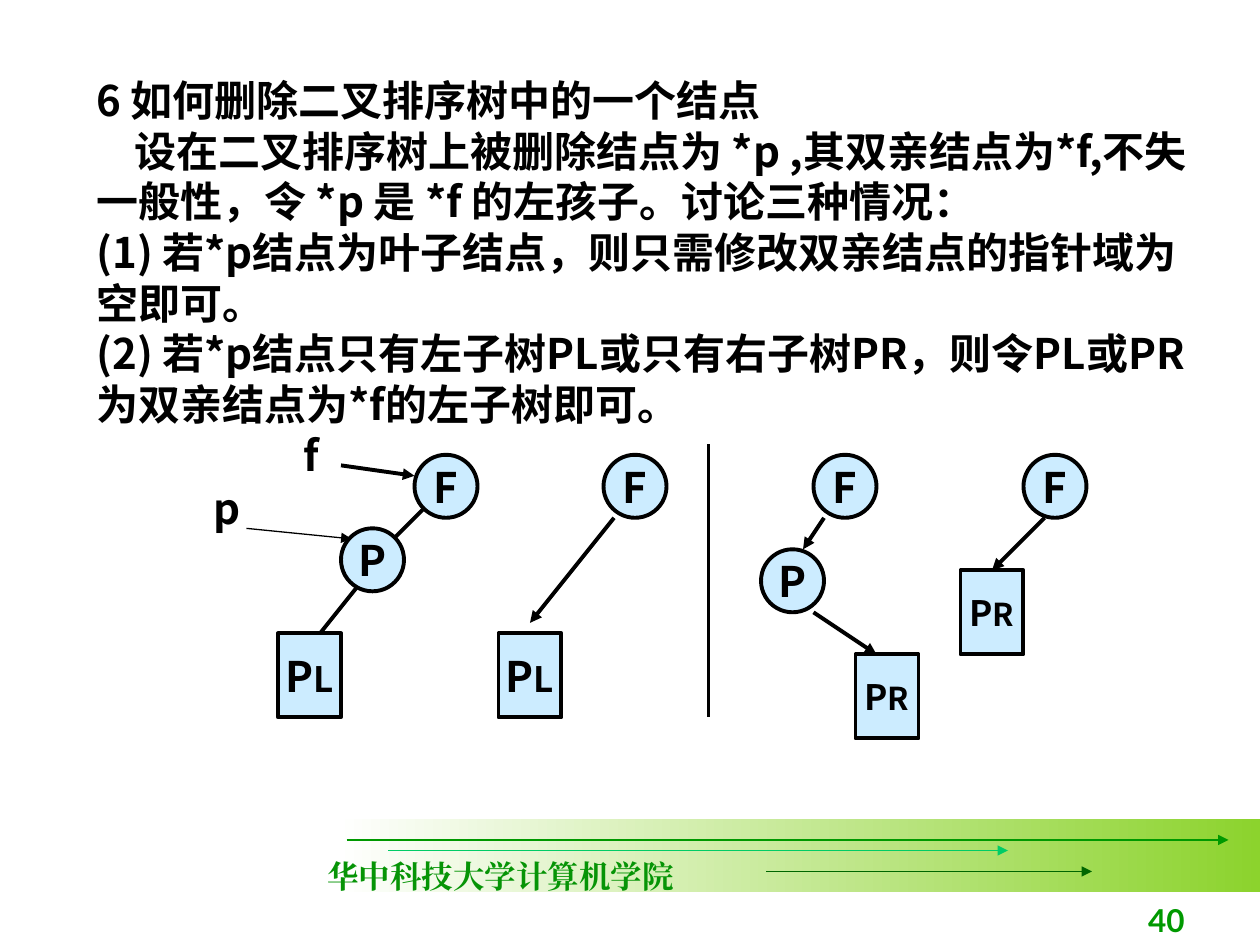
from dataclasses import dataclass

from lxml.etree import SubElement
from pptx import Presentation
from pptx.dml.color import RGBColor
from pptx.enum.shapes import MSO_CONNECTOR, MSO_SHAPE
from pptx.enum.text import MSO_ANCHOR, PP_ALIGN
from pptx.oxml.ns import qn
from pptx.util import Inches, Pt

COLORS = {
    "ink": "000000", "node": "CCECFF", "white": "FFFFFF", "lime": "8CD32D",
    "green": "009900", "mint": "00CC66", "dark": "006600", "school": "069406",
}
CJK, SERIF, SANS = "Noto Sans CJK SC", "Times New Roman", "Lato"


@dataclass(frozen=True)
class Grid:
    left: float
    top: float
    step: float = 1 / 12

    def x(self, col: float) -> int:
        return Inches(self.left + col * self.step)

    def y(self, row: float) -> int:
        return Inches(self.top + row * self.step)

    def size(self, cells: float) -> int:
        return Inches(cells * self.step)


@dataclass(frozen=True)
class Node:
    col: float
    row: float
    name: str
    sub: str = ""
    size: int = 24
    sub_size: int = 20


@dataclass(frozen=True)
class Line:
    start: tuple[float, float]
    end: tuple[float, float]
    arrow: bool = True
    width: float = 2.25
    color: str = "ink"


@dataclass(frozen=True)
class Label:
    col: float
    row: float
    cols: float
    rows: float
    text: str
    size: int = 24
    font: str = CJK
    color: str = "ink"
    align: PP_ALIGN = PP_ALIGN.LEFT
    anchor: MSO_ANCHOR = MSO_ANCHOR.TOP


PAGE = Grid(0, 0)
TREE = Grid(0.04, 3.61)

BAND_LINES = [
    Line((33, 80), (117, 80), width=0.75, color="green"),
    Line((37, 81), (96, 81), width=0.75, color="mint"),
    Line((73, 83), (104, 83), width=0.75, color="dark"),
]
FOOTERS = [
    Label(30, 81, 35.4, 4.8, "华中科技大学计算机学院", 18, SERIF, "school"),
    Label(89, 84, 25, 6, "40", 18, SANS, "green", PP_ALIGN.RIGHT, MSO_ANCHOR.BOTTOM),
]
TREE_LINES = [
    Line((40, 5), (37, 8), arrow=False),
    Line((34, 12), (30, 17), arrow=False),
    Line((32, 1), (39, 2)),
    Line((23, 7), (33, 8), width=0.75),
    Line((58, 6), (50, 16)),
    Line((78, 6), (76, 9)),
    Line((77, 15), (83, 19)),
    Line((99, 6), (94, 11)),
    Line((67, -1), (67, 25), arrow=False),
]
NODES = [
    Node(39, 0, "F"), Node(57, 0, "F"), Node(77, 0, "F"), Node(97, 0, "F"),
    Node(32, 7, "P"), Node(72, 9, "P"),
    Node(26, 17, "P", "L"), Node(47, 17, "P", "L"),
    Node(81, 19, "P", "R", 20, 18), Node(91, 11, "P", "R", 20, 18),
]
POINTERS = [Label(18.7, 2, 5, 6, "p"), Label(27.2, -3, 4, 6, "f")]
BODY = [
    "6 如何删除二叉排序树中的一个结点",
    "设在二叉排序树上被删除结点为 *p ,其双亲结点为*f,不失一般性，令 *p 是 *f 的左孩子。讨论三种情况：",
    "(1) 若*p结点为叶子结点，则只需修改双亲结点的指针域为空即可。",
    "(2) 若*p结点只有左子树PL或只有右子树PR，则令PL或PR为双亲结点为*f的左子树即可。",
]


def rgb(name: str) -> RGBColor:
    return RGBColor.from_string(COLORS[name])


def style_run(r, size: float, font: str = CJK, color: str = "ink") -> None:
    r.font.size, r.font.bold, r.font.name = Pt(size), True, font
    r.font.color.rgb = rgb(color)
    SubElement(r.font._element, qn("a:ea")).set("typeface", font)


def draw_line(s, grid: Grid, line: Line) -> None:
    (x1, y1), (x2, y2) = line.start, line.end
    c = s.shapes.add_connector(
        MSO_CONNECTOR.STRAIGHT, grid.x(x1), grid.y(y1), grid.x(x2), grid.y(y2))
    c.line.width = Pt(line.width)
    c.line.color.rgb = rgb(line.color)
    if line.arrow:
        SubElement(c.line._get_or_add_ln(), qn("a:tailEnd")).set("type", "triangle")
    SubElement(c._element.spPr, qn("a:effectLst"))


def draw_node(s, node: Node) -> None:
    kind, rows = (MSO_SHAPE.RECTANGLE, 8) if node.sub else (MSO_SHAPE.OVAL, 6)
    sp = s.shapes.add_shape(
        kind, TREE.x(node.col), TREE.y(node.row), TREE.size(6), TREE.size(rows))
    sp.shadow.inherit = False
    sp.fill.solid()
    sp.fill.fore_color.rgb = rgb("node")
    sp.line.color.rgb = rgb("ink")
    sp.line.width = Pt(2.25)
    tf = sp.text_frame
    tf.word_wrap, tf.vertical_anchor = False, MSO_ANCHOR.MIDDLE
    p = tf.paragraphs[0]
    p.alignment = PP_ALIGN.CENTER
    for text, size in ((node.name, node.size), (node.sub, node.sub_size)):
        if text:
            r = p.add_run()
            r.text = text
            style_run(r, size)


def draw_label(s, grid: Grid, label: Label) -> None:
    sp = s.shapes.add_textbox(
        grid.x(label.col), grid.y(label.row), grid.size(label.cols), grid.size(label.rows))
    tf = sp.text_frame
    tf.word_wrap, tf.vertical_anchor = True, label.anchor
    tf.text = label.text
    p = tf.paragraphs[0]
    p.alignment = label.align
    style_run(p.runs[0], label.size, label.font, label.color)


def draw_band(s) -> None:
    sp = s.shapes.add_shape(
        MSO_SHAPE.RECTANGLE, PAGE.x(32), PAGE.y(78), PAGE.size(88), PAGE.size(7))
    sp.shadow.inherit = False
    sp.line.fill.background()
    sp.fill.gradient()
    sp.fill.gradient_angle = 0
    for stop, color in zip(sp.fill.gradient_stops, ("white", "lime")):
        stop.color.rgb = rgb(color)


def draw_body(s) -> None:
    sp = s.shapes.add_textbox(PAGE.x(8), PAGE.y(6.5), Inches(8.98), Inches(3.51))
    tf = sp.text_frame
    tf.word_wrap = True
    tf.text = "\n".join(BODY)
    for p in tf.paragraphs:
        p.line_spacing = Pt(28.9)
        style_run(p.runs[0], 24)
    tf.paragraphs[1]._p.get_or_add_pPr().set("indent", str(Inches(0.3)))


def main() -> None:
    prs = Presentation()
    prs.slide_width, prs.slide_height = Inches(10), Inches(7.5)
    s = prs.slides.add_slide(prs.slide_layouts[6])
    draw_band(s)
    for line in BAND_LINES:
        draw_line(s, PAGE, line)
    for label in FOOTERS:
        draw_label(s, PAGE, label)
    for line in TREE_LINES:
        draw_line(s, TREE, line)
    for node in NODES:
        draw_node(s, node)
    for label in POINTERS:
        draw_label(s, TREE, label)
    draw_body(s)
    prs.save("out.pptx")


if __name__ == "__main__":
    main()
